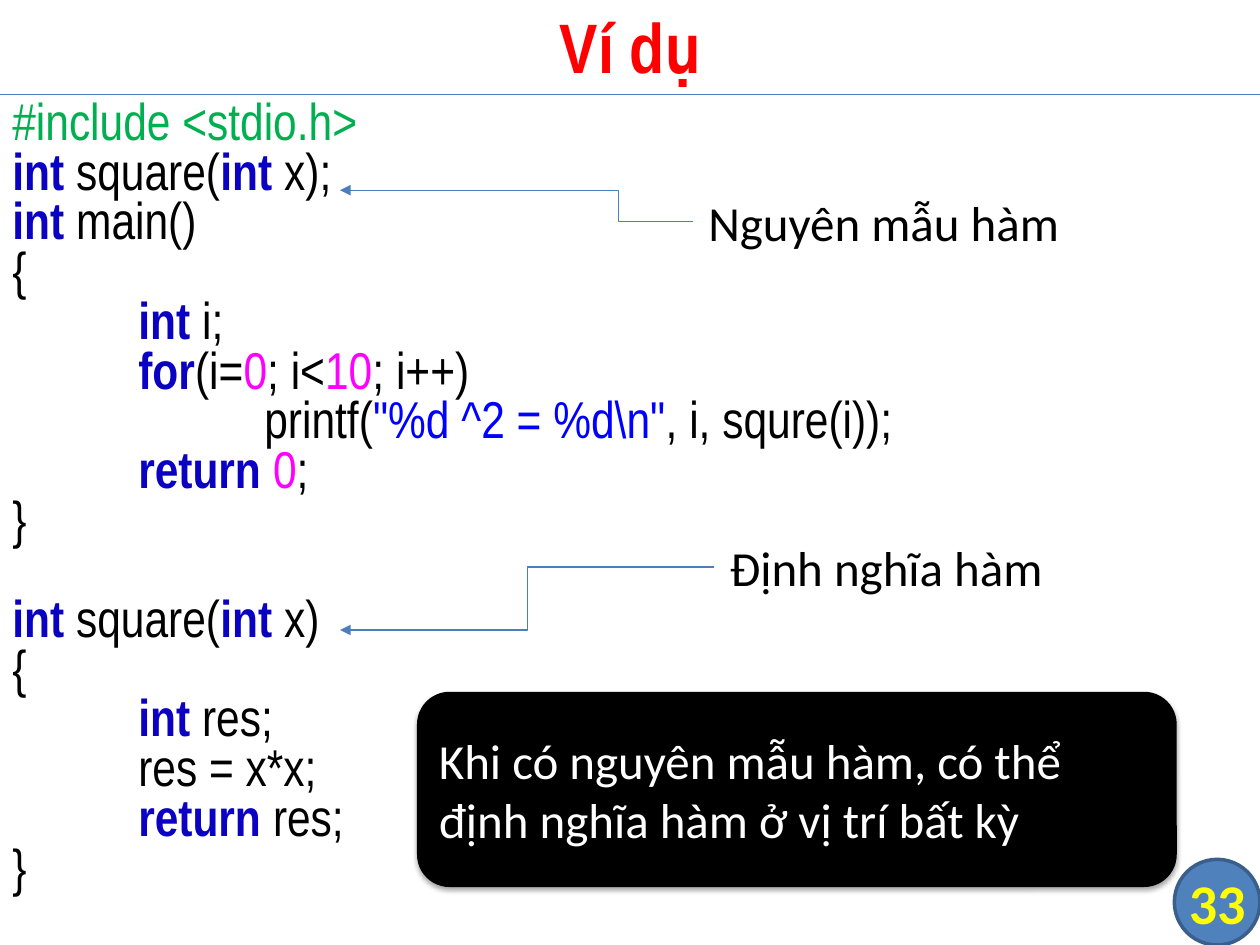
from dataclasses import dataclass

from lxml.etree import SubElement
from pptx import Presentation
from pptx.dml.color import RGBColor
from pptx.enum.shapes import MSO_CONNECTOR, MSO_SHAPE
from pptx.enum.text import MSO_ANCHOR, PP_ALIGN
from pptx.oxml.ns import qn
from pptx.util import Inches, Pt

COLUMNS, ROWS = 10, 7.5
CELL = Inches(1)


@dataclass(frozen=True)
class Theme:
    heading_font: str = "Arial Narrow"
    body_font: str = "Calibri"
    title_size: float = 40
    number_size: float = 32
    code_size: float = 29.6
    note_size: float = 28
    code_spacing: float = 0.8
    code_gap: float = 28.4
    rule_width: float = 0.75
    badge_width: float = 2
    white: str = "FFFFFF"
    black: str = "000000"
    title: str = "FF0000"
    number: str = "FFFF00"
    badge: str = "4F81BD"
    badge_edge: str = "3A5F8C"
    rule: str = "4B7EBC"
    directive: str = "00B050"
    keyword: str = "0A01C3"
    literal: str = "FF00FF"
    string: str = "0000FF"


PLAIN, KEYWORD, LITERAL, STRING, DIRECTIVE = "black", "keyword", "literal", "string", "directive"
INT = (KEYWORD, "int")
RETURN = (KEYWORD, "return")
TAB = (PLAIN, "\t")
OPEN, CLOSE = [(PLAIN, "{")], [(PLAIN, "}")]

MAIN_PART = [
    [(DIRECTIVE, "#include <stdio.h>")],
    [INT, (PLAIN, " square("), INT, (PLAIN, " x);")],
    [INT, (PLAIN, " main()")],
    OPEN,
    [TAB, INT, (PLAIN, " i;")],
    [TAB, (KEYWORD, "for"), (PLAIN, "(i="), (LITERAL, "0"), (PLAIN, "; i<"),
     (LITERAL, "10"), (PLAIN, "; i++)")],
    [TAB, TAB, (PLAIN, "printf("), (STRING, '"%d ^2 = %d\\n"'), (PLAIN, ", i, squre(i));")],
    [TAB, RETURN, (PLAIN, " "), (LITERAL, "0"), (PLAIN, ";")],
    CLOSE,
]
SQUARE_PART = [
    [INT, (PLAIN, " square("), INT, (PLAIN, " x)")],
    OPEN,
    [TAB, INT, (PLAIN, " res;")],
    [TAB, (PLAIN, "res = x*x;")],
    [TAB, RETURN, (PLAIN, " res;")],
    CLOSE,
]


def grid(*lengths):
    """Turn columns and rows into slide lengths."""
    return [round(length * CELL) for length in lengths]


def apply(target, values):
    for name, value in values.items():
        setattr(target, name, value)


class SlideBuilder:
    def __init__(self, slide, theme):
        self.slide, self.theme = slide, theme

    def color(self, name):
        return RGBColor.from_string(getattr(self.theme, name))

    def run(self, paragraph, text, color, **font):
        run = paragraph.add_run()
        run.text = text
        run.font.color.rgb = self.color(color)
        apply(run.font, font)

    def text(self, box, text, color, align=PP_ALIGN.LEFT, **font):
        frame = box.text_frame
        apply(frame, {"word_wrap": True, "vertical_anchor": MSO_ANCHOR.MIDDLE})
        paragraph = frame.paragraphs[0]
        paragraph.alignment = align
        self.run(paragraph, text, color, **font)
        return frame

    def text_box(self, area, *content, **font):
        box = self.slide.shapes.add_textbox(*grid(*area))
        return self.text(box, *content, **font)

    def shape(self, kind, area, fill):
        shape = self.slide.shapes.add_shape(kind, *grid(*area))
        shape.shadow.inherit = False
        shape.fill.solid()
        shape.fill.fore_color.rgb = self.color(fill)
        shape.line.fill.background()
        return shape

    def badge(self, area):
        circle = self.shape(MSO_SHAPE.FLOWCHART_CONNECTOR, area, "badge")
        circle.line.color.rgb = self.color("badge_edge")
        circle.line.width = Pt(self.theme.badge_width)

    def note(self, area, text, fill="white", color="black"):
        box = self.shape(MSO_SHAPE.ROUNDED_RECTANGLE, area, fill)
        self.text(box, text, color, name=self.theme.body_font, size=Pt(self.theme.note_size))
        return box

    def drop_shadow(self, shape, blur, distance, opacity):
        effects = shape.element.spPr.find(qn("a:effectLst"))
        shadow = SubElement(effects, qn("a:outerShdw"), blurRad=str(Pt(blur)),
                            dist=str(Pt(distance)), dir="5400000", rotWithShape="0")
        tint = SubElement(shadow, qn("a:srgbClr"), val=self.theme.black)
        SubElement(tint, qn("a:alpha"), val=str(opacity * 1000))

    def line(self, kind, start, end):
        line = self.slide.shapes.add_connector(kind, *grid(*start, *end))
        line.line.color.rgb = self.color("rule")
        line.line.width = Pt(self.theme.rule_width)
        SubElement(line.element.spPr, qn("a:effectLst"))
        return line

    def pointer(self, note, start, end, bend):
        """Lead from a note's left side to the code, turning at a share of the way."""
        arrow = self.line(MSO_CONNECTOR.ELBOW, start, end)
        arrow.begin_connect(note, 1)
        properties = arrow.element.spPr
        SubElement(properties.find(qn("a:ln")), qn("a:tailEnd"), type="triangle")
        geometry = properties.find(qn("a:prstGeom"))
        guides = geometry.find(qn("a:avLst"))
        if guides is None:
            guides = SubElement(geometry, qn("a:avLst"))
        SubElement(guides, qn("a:gd"), name="adj1", fmla=f"val {round(bend * 100000)}")

    def code(self, area, *parts):
        """Set code parts one below the other, with a line's gap between them."""
        box = self.slide.shapes.add_textbox(*grid(*area))
        frame = box.text_frame
        frame.word_wrap = True
        paragraph = frame.paragraphs[0]
        for part_index, part in enumerate(parts):
            for line_index, tokens in enumerate(part):
                if part_index or line_index:
                    paragraph = frame.add_paragraph()
                paragraph.line_spacing = self.theme.code_spacing
                if part_index and not line_index:
                    paragraph.space_before = Pt(self.theme.code_gap)
                for color, text in tokens:
                    self.run(paragraph, text, color, name=self.theme.heading_font,
                             size=Pt(self.theme.code_size), bold=color == KEYWORD)
        self.tab_stops(box, 1, 2)

    def tab_stops(self, box, *columns):
        for properties in box.element.iter(qn("a:pPr")):
            stops = SubElement(properties, qn("a:tabLst"))
            for position in grid(*columns):
                SubElement(stops, qn("a:tab"), pos=str(position), algn="l")


def main():
    theme = Theme()
    deck = Presentation()
    apply(deck, {"slide_width": round(COLUMNS * CELL), "slide_height": round(ROWS * CELL)})
    page = SlideBuilder(deck.slides.add_slide(deck.slide_layouts[6]), theme)

    header, badge_side = 0.75, 0.68
    badge_area = (COLUMNS - badge_side, ROWS - badge_side, badge_side, badge_side)
    page.badge(badge_area)
    page.line(MSO_CONNECTOR.STRAIGHT, (0, header), (COLUMNS, header))
    page.code((0, header, COLUMNS, ROWS - header), MAIN_PART, SQUARE_PART)
    page.text_box((0, -0.03, COLUMNS, 0.78), "Ví dụ", "title", PP_ALIGN.CENTER,
                  name=theme.heading_font, size=Pt(theme.title_size), bold=True)
    number = page.text_box(badge_area, "33", "number", PP_ALIGN.CENTER,
                           name=theme.body_font, size=Pt(theme.number_size), bold=True)
    apply(number, dict.fromkeys(
        ("margin_left", "margin_top", "margin_right", "margin_bottom"), 0))

    note_width, note_height, code_edge = 4.33, 0.5, 2.7
    for text, left, top, target, bend in (
        ("Nguyên mẫu hàm", 5.5, 1.51, 1.51, 0.21),
        ("Định nghĩa hàm", 5.67, 4.25, 5, 0.5),
    ):
        note = page.note((left, top, note_width, note_height), text)
        page.pointer(note, (left, top + note_height / 2), (code_edge, target), bend)

    remark = page.note((3.31, 5.49, 6.03, 1.55),
                       "Khi có nguyên mẫu hàm, có thể định nghĩa hàm ở vị trí bất kỳ",
                       fill="black", color="white")
    page.drop_shadow(remark, blur=3.1, distance=1.8, opacity=35)
    deck.save("out.pptx")


if __name__ == "__main__":
    main()
